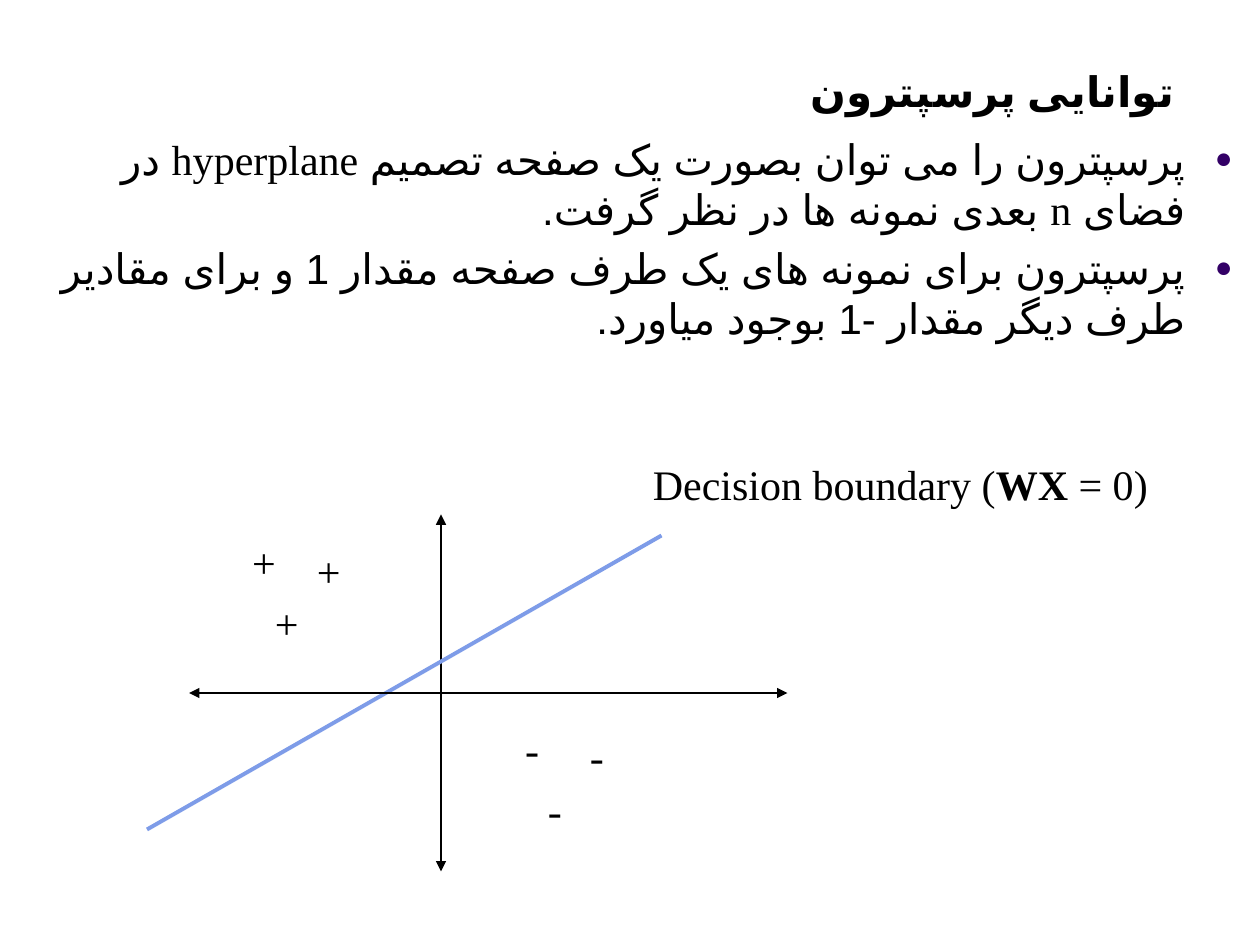
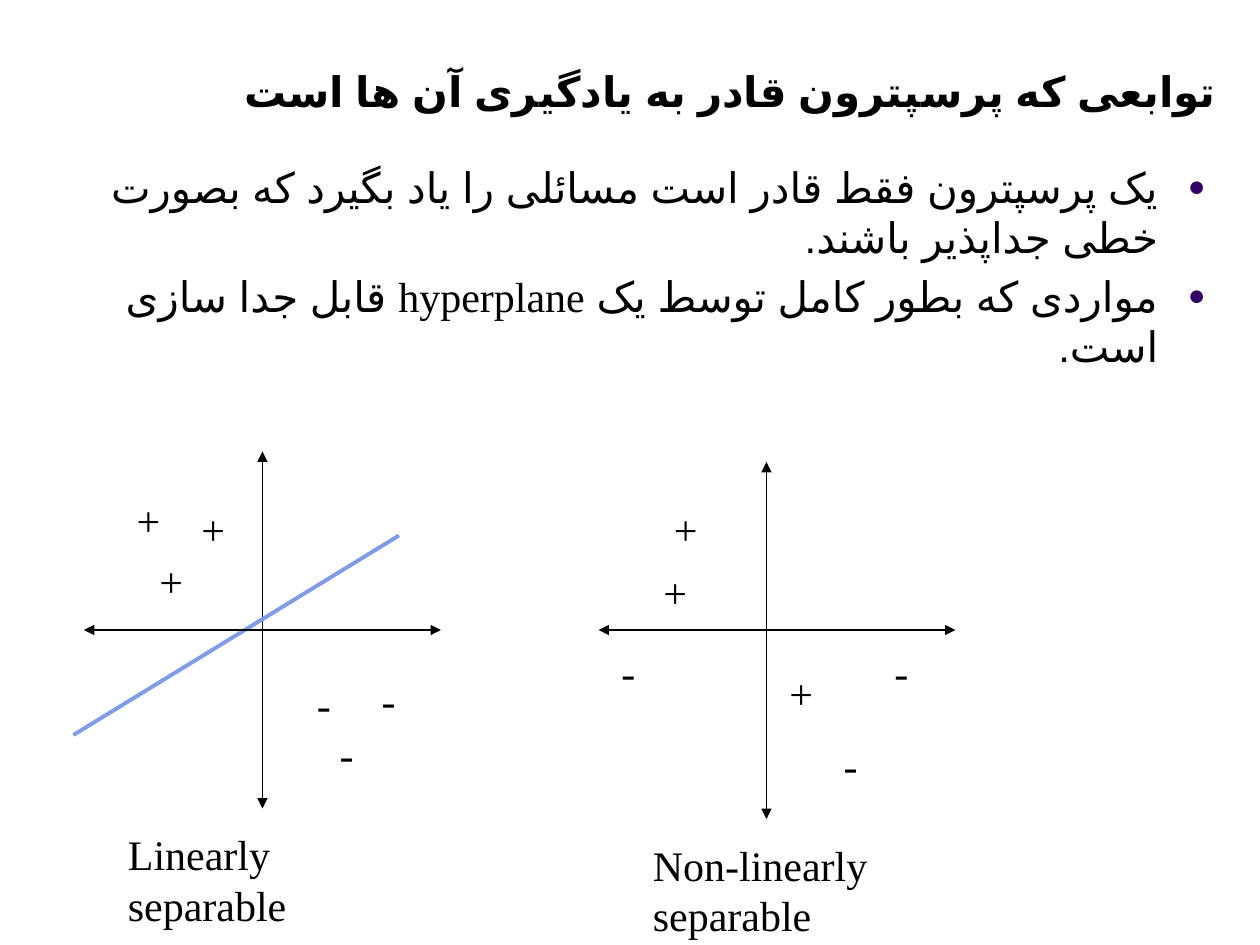
from pptx import Presentation
from pptx.util import Pt
from pptx.dml.color import RGBColor
from pptx.enum.lang import MSO_LANGUAGE_ID as LANGUAGE
from pptx.enum.shapes import MSO_CONNECTOR as CONNECTOR
from pptx.enum.text import MSO_ANCHOR as ANCHOR, MSO_AUTO_SIZE as AUTO_SIZE, PP_ALIGN as ALIGN
from pptx.oxml.ns import qn
from lxml.etree import SubElement

# Shared style
color = RGBColor.from_string
BLACK, BOUNDARY, BULLET = "000000", "7E9CE8", "330066"
SERIF, SANS = "Times New Roman", "Arial"
TEXT_SIZE = 24
MARK_HEIGHT = 36
MARK_WIDTHS = {"+": 28, "-": 26}


def add_text(page, place, paragraphs, font=SERIF, bold=(), rtl=False):
    """Each paragraph is a list of runs; runs named in bold are set bold."""
    box = page.shapes.add_textbox(*[Pt(value) for value in place])
    frame = box.text_frame
    frame.word_wrap = rtl
    frame.auto_size = AUTO_SIZE.NONE if rtl else AUTO_SIZE.SHAPE_TO_FIT_TEXT
    for index, pieces in enumerate(paragraphs):
        para = frame.paragraphs[0] if index == 0 else frame.add_paragraph()
        if rtl:
            para.alignment = ALIGN.RIGHT
            para._p.get_or_add_pPr().set("rtl", "1")
        for piece in pieces:
            span = para.add_run()
            span.text = piece
            span.font.name = font
            span.font.size = Pt(TEXT_SIZE)
            span.font.bold = piece in bold
            span.font.color.rgb = color(BLACK)
            if rtl:
                span.font.language_id = LANGUAGE.FARSI
                SubElement(span._r.rPr, qn("a:cs"), typeface=SANS)
    return frame


def add_line(page, ends, line_color, width, arrows):
    line = page.shapes.add_connector(CONNECTOR.STRAIGHT, *[Pt(value) for value in ends])
    line.line.color.rgb = color(line_color)
    line.line.width = Pt(width)
    if arrows:
        for tag in ("a:headEnd", "a:tailEnd"):
            SubElement(line.line._get_or_add_ln(), qn(tag), type="triangle")
    SubElement(line._element.spPr, qn("a:effectLst"))


# Content: each plot has a vertical and a horizontal axis, marks and a caption
slides = [
    {
        "title": "توانایی پرسپترون",
        "title_place": (84, 15, 594, 55),
        "body": [
            "پرسپترون را می توان بصورت یک صفحه تصمیم hyperplane در فضای n بعدی نمونه ها در نظر گرفت.",
            "پرسپترون برای نمونه های یک طرف صفحه مقدار 1 و برای مقادیر طرف دیگر مقدار -1 بوجود میاورد.",
        ],
        "body_place": (3, 72.5, 708.5, 347),
        "plots": [
            {
                "vertical": (252, 294, 252, 498),
                "horizontal": (108, 396, 450, 396),
                "boundary": (84, 474, 378, 306),
                "+": [(137, 303), (150, 338), (174, 308)],
                "-": [(293, 410), (306, 445), (330, 414)],
                "caption": ["Decision boundary (", "WX", " = 0)"],
                "caption_place": (366, 258.5, 297, 36),
            },
        ],
    },
    {
        "title": "توابعی که پرسپترون قادر به یادگیری آن ها است",
        "title_place": (108, 30, 594, 40),
        "body": [
            "یک پرسپترون فقط قادر است مسائلی را یاد بگیرد که بصورت خطی جداپذیر باشند.",
            "مواردی که بطور کامل توسط یک hyperplane قابل جدا سازی است.",
        ],
        "body_place": (42, 88.5, 654, 347),
        "plots": [
            {
                "vertical": (150, 258, 150, 462),
                "horizontal": (48, 360, 252, 360),
                "boundary": (42, 420, 228, 306),
                "+": [(71, 279), (84, 314), (108, 284)],
                "-": [(174, 384), (187, 413), (211, 382)],
                "caption": ["Linearly separable"],
                "caption_place": (66, 470, 192, 36),
            },
            {
                "vertical": (438, 264, 438, 468),
                "horizontal": (342, 360, 546, 360),
                "+": [(378, 284), (372, 320), (444, 378)],
                "-": [(348, 366), (475, 419), (504, 366)],
                "caption": ["Non-linearly separable"],
                "caption_place": (366, 476, 233, 36),
            },
        ],
    },
]

deck = Presentation()
deck.slide_width, deck.slide_height = Pt(720), Pt(540)

for content in slides:
    page = deck.slides.add_slide(deck.slide_layouts[6])

    # Bulleted text
    frame = add_text(page, content["body_place"], [[text] for text in content["body"]], rtl=True)
    for para in frame.paragraphs:
        para.space_before = Pt(4.8)
        properties = para._p.get_or_add_pPr()
        properties.set("marL", str(Pt(27)))
        properties.set("indent", str(Pt(-27)))
        bullet_color = SubElement(properties, qn("a:buClr"))
        SubElement(bullet_color, qn("a:srgbClr"), val=BULLET)
        SubElement(properties, qn("a:buSzPct"), val="70000")
        SubElement(properties, qn("a:buFont"), typeface=SANS)
        SubElement(properties, qn("a:buChar"), char="●")

    # Title
    frame = add_text(page, content["title_place"], [[content["title"]]], font=SANS,
                     bold=[content["title"]], rtl=True)
    frame.vertical_anchor = ANCHOR.BOTTOM

    # Plots
    for plot in content["plots"]:
        add_line(page, plot["vertical"], BLACK, 0.75, arrows=True)
        if "boundary" in plot:
            add_line(page, plot["boundary"], BOUNDARY, 2.25, arrows=False)
        add_line(page, plot["horizontal"], BLACK, 0.75, arrows=True)
        for mark, width in MARK_WIDTHS.items():
            for left, top in plot[mark]:
                add_text(page, (left, top, width, MARK_HEIGHT), [[mark]])
        add_text(page, plot["caption_place"], [plot["caption"]], bold=["WX"])

deck.save("out.pptx")
